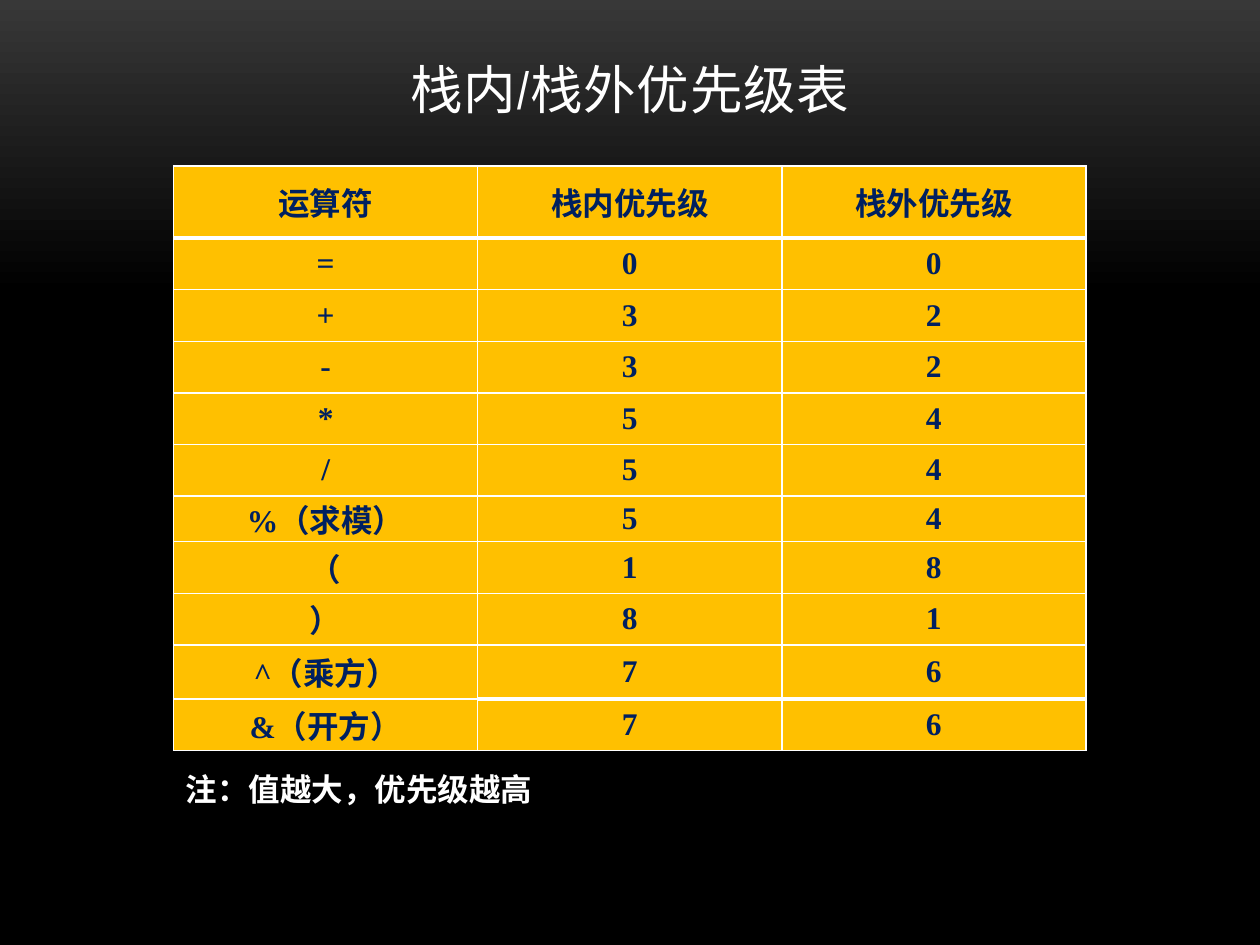
import pptx
import pptx.dml.color
import pptx.enum.text
import pptx.oxml.ns
import pptx.util
from lxml import etree
from pptx.util import Cm

WHITE, NAVY, AMBER = "FFFFFF", "002060", "FFC000"
LATIN, SERIF, CHINESE = "Arial Narrow", "Times New Roman", "Noto Sans CJK SC"
HEADINGS = ("运算符", "栈内优先级", "栈外优先级")
PRIORITIES = (
    ("=", 0, 0),
    ("+", 3, 2),
    ("-", 3, 2),
    ("*", 5, 4),
    ("/", 5, 4),
    ("%（求模）", 5, 4),
    ("（", 1, 8),
    ("）", 8, 1),
    ("^（乘方）", 7, 6),
    ("&（开方）", 7, 6),
)
COLUMN_WIDTH, ROW_HEIGHT = 6.13, 1.04
SPECIAL_HEIGHTS = {0: 1.45, 6: 0.79, 9: 1.09}
# Cells (row, column) with a thick rule below them
THICK_BELOW = {(0, 0), (0, 1), (0, 2), (9, 1), (9, 2)}


def color(value):
    return pptx.dml.color.RGBColor.from_string(value)


def add_span(para, text, size, font, value, bold=True):
    span = para.add_run()
    span.text = text
    span.font.size = pptx.util.Pt(size)
    span.font.name = font
    span.font.bold = bold
    span.font.color.rgb = color(value)
    east_asian = etree.SubElement(span.font._element, pptx.oxml.ns.qn("a:ea"))
    east_asian.set("typeface", CHINESE)
    return span


def paint_background(page):
    fill = page.background.fill
    fill.gradient()
    fill.gradient_angle = 270
    for stop, (position, value) in zip(fill.gradient_stops, ((0, "383838"), (0.31, "000000"))):
        stop.position = position
        stop.color.rgb = color(value)


def add_title(page, text):
    title = page.shapes.title
    title.left, title.top, title.width, title.height = Cm(1.7), Cm(0.43), Cm(22), Cm(2)
    frame = title.text_frame
    frame.word_wrap = True
    frame.auto_size = pptx.enum.text.MSO_AUTO_SIZE.NONE
    frame.vertical_anchor = pptx.enum.text.MSO_ANCHOR.BOTTOM
    frame.margin_bottom = 0
    para = frame.paragraphs[0]
    para.alignment = pptx.enum.text.PP_ALIGN.CENTER
    span = add_span(para, text, 30, LATIN, WHITE, bold=False)
    span.font._element.set("spc", "50")


def add_border(cell, side, width):
    line = etree.SubElement(
        cell._tc.get_or_add_tcPr(), pptx.oxml.ns.qn(f"a:ln{side}"), w=str(pptx.util.Pt(width))
    )
    fill = etree.SubElement(line, pptx.oxml.ns.qn("a:solidFill"))
    etree.SubElement(fill, pptx.oxml.ns.qn("a:srgbClr"), val=WHITE)


def fill_cell(cell, text, row, column):
    # Borders come before the fill in the cell properties
    widths = {
        "L": 1,
        "R": 1,
        "T": 3 if (row - 1, column) in THICK_BELOW else 1,
        "B": 3 if (row, column) in THICK_BELOW else 1,
    }
    for side, width in widths.items():
        add_border(cell, side, width)
    cell.fill.solid()
    cell.fill.fore_color.rgb = color(AMBER)
    cell.margin_left = cell.margin_right = Cm(0.18)
    cell.margin_top = cell.margin_bottom = 0
    cell.vertical_anchor = pptx.enum.text.MSO_ANCHOR.MIDDLE
    para = cell.text_frame.paragraphs[0]
    para.alignment = pptx.enum.text.PP_ALIGN.CENTER
    add_span(para, str(text), 18, SERIF if row else LATIN, NAVY)


def add_priority_table(page):
    records = (HEADINGS,) + PRIORITIES
    heights = [SPECIAL_HEIGHTS.get(row, ROW_HEIGHT) for row in range(len(records))]
    table = page.shapes.add_table(
        len(records), len(HEADINGS), Cm(3.5), Cm(3.35),
        Cm(COLUMN_WIDTH * len(HEADINGS)), Cm(sum(heights)),
    ).table
    for column in table.columns:
        column.width = Cm(COLUMN_WIDTH)
    for row, (record, height) in enumerate(zip(records, heights)):
        table.rows[row].height = Cm(height)
        for column, text in enumerate(record):
            fill_cell(table.cell(row, column), text, row, column)


def add_note(page, text):
    box = page.shapes.add_textbox(Cm(3.5), Cm(15.4), Cm(14.6), Cm(1.02))
    box.text_frame.word_wrap = True
    box.text_frame.auto_size = pptx.enum.text.MSO_AUTO_SIZE.SHAPE_TO_FIT_TEXT
    add_span(box.text_frame.paragraphs[0], text, 18, CHINESE, WHITE)


def main():
    deck = pptx.Presentation()
    deck.slide_width, deck.slide_height = Cm(25.4), Cm(19.05)
    page = deck.slides.add_slide(deck.slide_layouts.get_by_name("Title Only"))
    paint_background(page)
    add_title(page, "栈内/栈外优先级表")
    add_priority_table(page)
    add_note(page, "注：值越大，优先级越高")
    deck.save("out.pptx")


if __name__ == "__main__":
    main()
